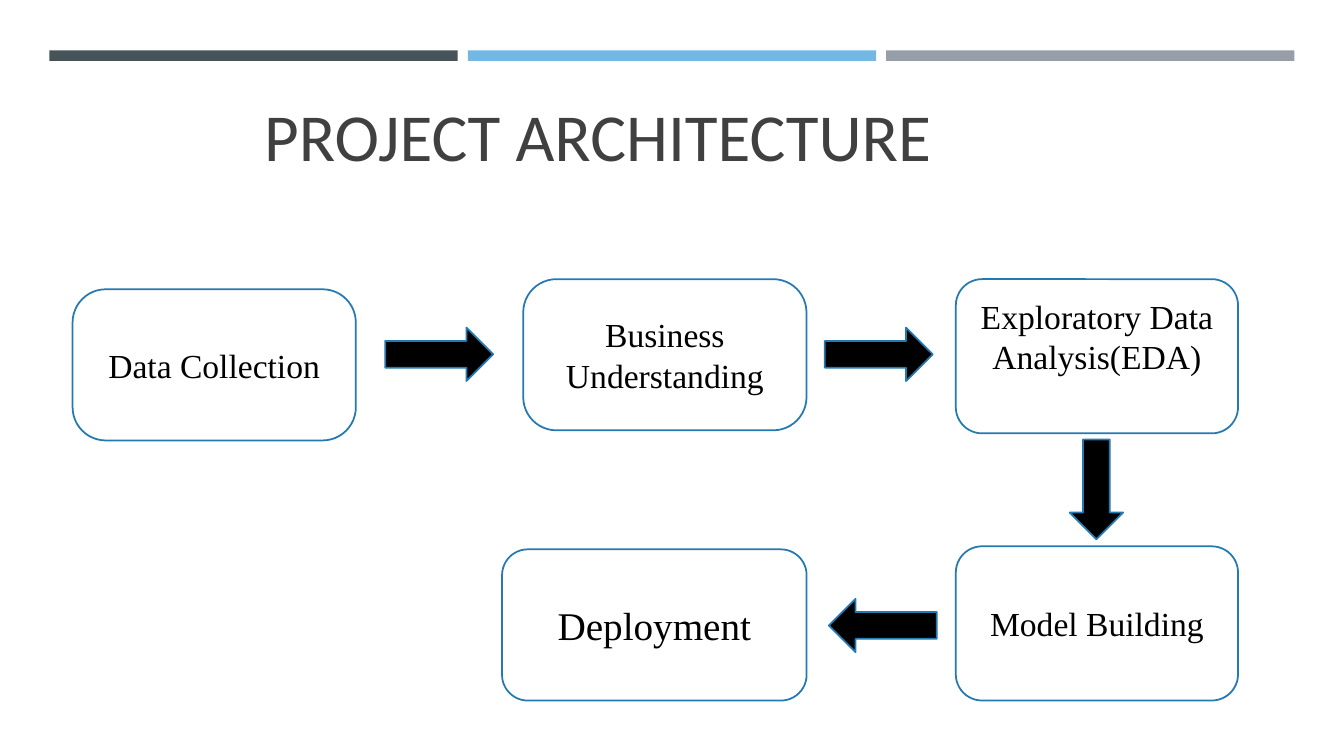
from dataclasses import dataclass
from pptx import Presentation
from pptx.dml.color import RGBColor
from pptx.enum.shapes import MSO_SHAPE as Kind
from pptx.enum.text import MSO_ANCHOR as Anchor, PP_ALIGN as Align
from pptx.shapes.autoshape import Shape
from pptx.slide import Slide
from pptx.util import Inches, Pt

WIDE, HIGH = Inches(13.33), Inches(7.5)
HUES = {
    "slate": "465359", "sky": "71B9E4", "gray": "969FA7",
    "edge": "2379B0", "paper": "FFFFFF", "ink": "000000", "title": "404040",
}


@dataclass
class Area:
    left: float
    top: float
    width: float
    height: float


@dataclass
class Step:
    text: str
    area: Area
    size: int = 24
    round: float = 0.17
    lift: float = 0.67


@dataclass
class Arrow:
    kind: Kind
    area: Area


BARS = ["slate", "sky", "gray"]
STEPS = [
    Step("Data Collection", Area(5.4, 38.27, 21.08, 20), round=0.22),
    Step("Business Understanding", Area(38.93, 36.93, 21.08, 20), round=0.22),
    Step("Exploratory Data Analysis(EDA)", Area(71.12, 36.93, 21, 20.4), lift=6),
    Step("Model Building", Area(71.12, 72.27, 21, 20.4)),
    Step("Deployment", Area(37.36, 72.67, 22.66, 20), size=28),
]
ARROWS = [
    Arrow(Kind.RIGHT_ARROW, Area(28.66, 43.33, 8.03, 7.07)),
    Arrow(Kind.RIGHT_ARROW, Area(61.37, 43.33, 8.03, 7.07)),
    Arrow(Kind.DOWN_ARROW, Area(79.59, 58.13, 3.98, 13.2)),
    Arrow(Kind.LEFT_ARROW, Area(61.67, 79.2, 8.03, 7.07)),
]


def hue(name: str) -> RGBColor:
    return RGBColor.from_string(HUES[name])


def across(share: float) -> int:
    return round(WIDE * share / 100)


def down(share: float) -> int:
    return round(HIGH * share / 100)


def place(area: Area) -> tuple[int, int, int, int]:
    return across(area.left), down(area.top), across(area.width), down(area.height)


def draw(slide: Slide, kind: Kind, area: Area, fill: str, edge: str = "") -> Shape:
    shape = slide.shapes.add_shape(kind, *place(area))
    shape.shadow.inherit = False
    shape.fill.solid()
    shape.fill.fore_color.rgb = hue(fill)
    if edge:
        shape.line.color.rgb = hue(edge)
        shape.line.width = Pt(1.25)
    else:
        shape.line.fill.background()
    return shape


def write(shape: Shape, text: str, face: str, size: int, ink: str, align: Align) -> None:
    frame = shape.text_frame
    frame.word_wrap = True
    frame.text = text
    line = frame.paragraphs[0]
    line.alignment = align
    line.font.name = face
    line.font.size = Pt(size)
    line.font.color.rgb = hue(ink)


def add_title(slide: Slide) -> None:
    title = slide.shapes.title
    title.left, title.top, title.width, title.height = place(Area(18.9, 9.73, 59.56, 14.13))
    write(title, "PROJECT ARCHITECTURE", "Calibri", 48, "title", Align.LEFT)
    title.text_frame.vertical_anchor = Anchor.BOTTOM


def add_step(slide: Slide, step: Step) -> None:
    box = draw(slide, Kind.ROUNDED_RECTANGLE, step.area, "paper", "edge")
    box.adjustments[0] = step.round
    write(box, step.text, "Times New Roman", step.size, "ink", Align.CENTER)
    box.text_frame.vertical_anchor = Anchor.MIDDLE
    box.text_frame.margin_bottom = down(step.lift)


def main() -> None:
    deck = Presentation()
    deck.slide_width, deck.slide_height = WIDE, HIGH
    slide = deck.slides.add_slide(deck.slide_layouts[5])
    for col, name in enumerate(BARS):
        draw(slide, Kind.RECTANGLE, Area(3.68 + 31.13 * col, 6.67, 30.38, 1.4), name)
    add_title(slide)
    for step in STEPS:
        add_step(slide, step)
    for arrow in ARROWS:
        draw(slide, arrow.kind, arrow.area, "ink", "edge")
    deck.save("out.pptx")


if __name__ == "__main__":
    main()
